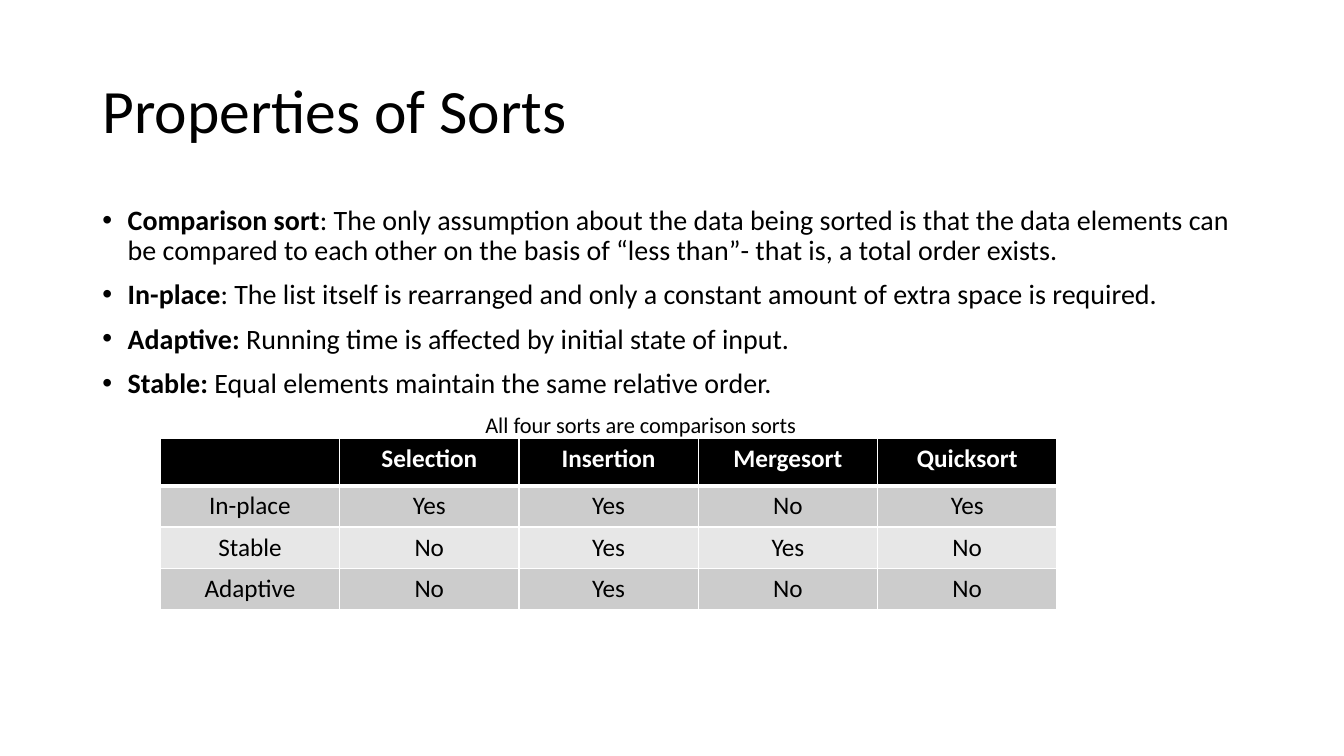
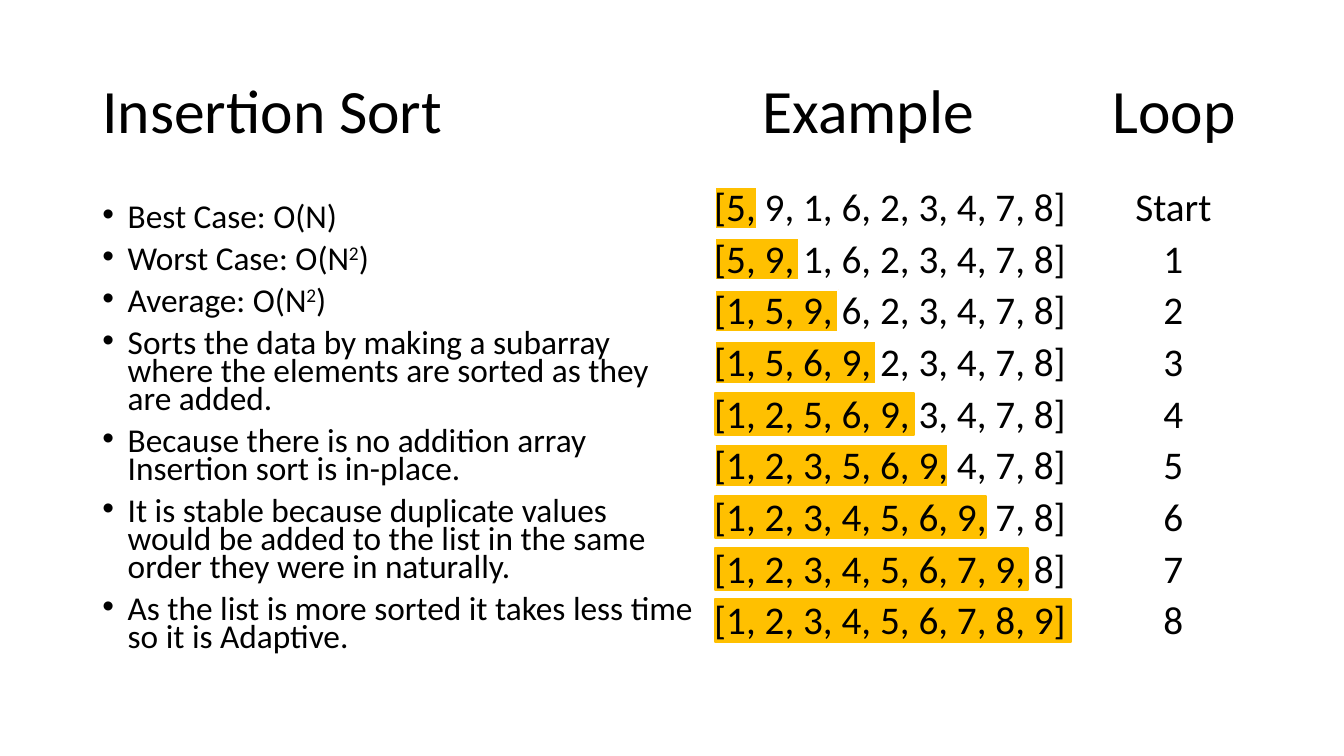
from dataclasses import dataclass
from typing import NamedTuple, Sequence

from lxml.etree import SubElement
from pptx import Presentation
from pptx.dml.color import RGBColor
from pptx.enum.shapes import MSO_SHAPE as Preset
from pptx.enum.text import MSO_ANCHOR as Anchor, PP_ALIGN as Align
from pptx.oxml.ns import qn
from pptx.slide import Slide
from pptx.table import _Cell as Cell
from pptx.util import Cm, Pt


@dataclass(frozen=True)
class Theme:
    font: str = "Calibri"
    ink: RGBColor = RGBColor(0x00, 0x00, 0x00)
    paper: RGBColor = RGBColor(0xFF, 0xFF, 0xFF)
    band_dark: RGBColor = RGBColor(0xCC, 0xCC, 0xCC)
    band_light: RGBColor = RGBColor(0xE7, 0xE7, 0xE7)
    sorted_part: RGBColor = RGBColor(0xFF, 0xC0, 0x00)
    title: float = 44
    definition: float = 20
    caption: float = 16
    cell: float = 18
    fact: float = 23.8
    trace: float = 28
    paragraph_gap: float = 10


THEME = Theme()


class Box(NamedTuple):
    left: float
    top: float
    width: float
    height: float


class Span(NamedTuple):
    text: str
    bold: bool = False
    raised: bool = False


class Style(NamedTuple):
    size: float
    spacing: float = 1.0
    bulleted: bool = False
    align: Align = Align.LEFT
    anchor: Anchor = Anchor.TOP


class Step(NamedTuple):
    values: str
    loop: str
    sorted_width: float
    edge: RGBColor


Line = Sequence[Span]

MARGIN = 2.33
CONTENT_WIDTH = 29.21
TITLE_TOP, TITLE_HEIGHT = 1.01, 3.68
BODY_TOP, BODY_HEIGHT = 5.07, 12.1
TRACE_TOP, TRACE_PITCH = 4.7, 1.3

TITLE_STYLE = Style(THEME.title, 0.9, anchor=Anchor.MIDDLE)
DEFINITION_STYLE = Style(THEME.definition, 0.9, bulleted=True)
CAPTION_STYLE = Style(THEME.caption, align=Align.CENTER)
FACT_STYLE = Style(THEME.fact, 0.7, bulleted=True)
TRACE_STYLE = Style(THEME.trace, 0.8)
LOOP_STYLE = TRACE_STYLE._replace(align=Align.CENTER)

DEFINITIONS = [
    [Span("Comparison sort", bold=True),
     Span(": The only assumption about the data being sorted is that the data elements can "
          "be compared to each other on the basis of “less than”- that is, a total order exists.")],
    [Span("In-place", bold=True),
     Span(": The list itself is rearranged and only a constant amount of extra space is required.")],
    [Span("Adaptive: ", bold=True), Span("Running time is affected by initial state of input.")],
    [Span("Stable: ", bold=True), Span("Equal elements maintain the same relative order.")],
]

PROPERTIES = [
    ["", "Selection", "Insertion", "Mergesort", "Quicksort"],
    ["In-place", "Yes", "Yes", "No", "Yes"],
    ["Stable", "No", "Yes", "Yes", "No"],
    ["Adaptive", "No", "Yes", "No", "No"],
]

SQUARED = [Span("2", raised=True), Span(")")]
FACTS = [
    [Span("Best Case: O(N)")],
    [Span("Worst Case: O(N"), *SQUARED],
    [Span("Average: O(N"), *SQUARED],
    [Span("Sorts the data by making a subarray where the elements are sorted as they are added.")],
    [Span("Because there is no addition array Insertion sort is in-place.")],
    [Span("It is stable because duplicate values would be added to the list "
          "in the same order they were in naturally.")],
    [Span("As the list is more sorted it takes less time so it is Adaptive.")],
]

STEPS = [
    Step("[5, 9, 1, 6, 2, 3, 4, 7, 8]", "Start", 1.04, THEME.paper),
    Step("[5, 9, 1, 6, 2, 3, 4, 7, 8]", "1", 2.11, THEME.paper),
    Step("[1, 5, 9, 6, 2, 3, 4, 7, 8]", "2", 3.1, THEME.paper),
    Step("[1, 5, 6, 9, 2, 3, 4, 7, 8]", "3", 4.04, THEME.paper),
    Step("[1, 2, 5, 6, 9, 3, 4, 7, 8]", "4", 5.0, THEME.sorted_part),
    Step("[1, 2, 3, 5, 6, 9, 4, 7, 8]", "5", 5.87, THEME.paper),
    Step("[1, 2, 3, 4, 5, 6, 9, 7, 8]", "6", 6.83, THEME.sorted_part),
    Step("[1, 2, 3, 4, 5, 6, 7, 9, 8]", "7", 7.87, THEME.sorted_part),
    Step("[1, 2, 3, 4, 5, 6, 7, 8, 9]", "8", 8.97, THEME.sorted_part),
]


def add_bullet(paragraph) -> None:
    properties = paragraph._p.get_or_add_pPr()
    properties.set("marL", str(Cm(0.64)))
    properties.set("indent", str(-Cm(0.64)))
    SubElement(properties, qn("a:buFont")).set("typeface", "Arial")
    SubElement(properties, qn("a:buChar")).set("char", "•")


def format_run(run, size: float, color: RGBColor, bold: bool = False) -> None:
    run.font.name = THEME.font
    run.font.size = Pt(size)
    run.font.bold = bold
    run.font.color.rgb = color


def add_text(slide: Slide, box: Box, lines: Sequence[Line], style: Style) -> None:
    frame = slide.shapes.add_textbox(*map(Cm, box)).text_frame
    frame.word_wrap = True
    frame.vertical_anchor = style.anchor
    frame.text = "\n".join(line[0].text for line in lines)
    for index, (paragraph, line) in enumerate(zip(frame.paragraphs, lines)):
        if style.bulleted:
            add_bullet(paragraph)
        paragraph.alignment = style.align
        paragraph.line_spacing = style.spacing
        paragraph.space_before = Pt(THEME.paragraph_gap if index else 0)
        for span in line[1:]:
            paragraph.add_run().text = span.text
        for run, span in zip(paragraph.runs, line):
            format_run(run, style.size, THEME.ink, span.bold)
            if span.raised:
                run._r.get_or_add_rPr().set("baseline", "30000")


def add_title(slide: Slide, text: str, left: float, width: float) -> None:
    add_text(slide, Box(left, TITLE_TOP, width, TITLE_HEIGHT), [[Span(text)]], TITLE_STYLE)


def add_border(cell: Cell, side: str, width: float) -> None:
    border = SubElement(cell._tc.get_or_add_tcPr(), qn(f"a:ln{side}"))
    border.set("w", str(Pt(width)))
    fill = SubElement(border, qn("a:solidFill"))
    SubElement(fill, qn("a:srgbClr")).set("val", str(THEME.paper))


def add_property_table(slide: Slide) -> None:
    column_width, header_height, row_height = 4.52, 1.19, 1.04
    row_count, column_count = len(PROPERTIES), len(PROPERTIES[0])
    box = Box(4.04, 11.05, column_width * column_count,
              header_height + row_height * (row_count - 1))
    table = slide.shapes.add_table(row_count, column_count, *map(Cm, box)).table
    for column in table.columns:
        column.width = Cm(column_width)
    for row_index, labels in enumerate(PROPERTIES):
        is_header = row_index == 0
        table.rows[row_index].height = Cm(header_height if is_header else row_height)
        background = THEME.ink if is_header else (
            THEME.band_dark if row_index % 2 else THEME.band_light)
        widths = {"L": 1, "R": 1, "T": 3 if row_index == 1 else 1, "B": 3 if is_header else 1}
        for column_index, label in enumerate(labels):
            cell = table.cell(row_index, column_index)
            for side, width in widths.items():
                add_border(cell, side, width)
            cell.fill.solid()
            cell.fill.fore_color.rgb = background
            cell.text_frame.text = label
            paragraph = cell.text_frame.paragraphs[0]
            paragraph.alignment = Align.CENTER
            for run in paragraph.runs:
                format_run(run, THEME.cell, THEME.paper if is_header else THEME.ink, is_header)


def add_sorted_part(slide: Slide, index: int, step: Step) -> None:
    box = Box(18.03, TRACE_TOP + TRACE_PITCH * index, step.sorted_width, 1.07)
    highlight = slide.shapes.add_shape(Preset.RECTANGLE, *map(Cm, box))
    highlight.shadow.inherit = False
    highlight.fill.solid()
    highlight.fill.fore_color.rgb = THEME.sorted_part
    highlight.line.color.rgb = step.edge
    highlight.line.width = Pt(1.5)


def build_properties(slide: Slide) -> None:
    add_title(slide, "Properties of Sorts", MARGIN, CONTENT_WIDTH)
    add_text(slide, Box(MARGIN, BODY_TOP, CONTENT_WIDTH, 5.2), DEFINITIONS, DEFINITION_STYLE)
    add_text(slide, Box(10.15, 10.23, 12, 0.9),
             [[Span("All four sorts are comparison sorts")]], CAPTION_STYLE)
    add_property_table(slide)


def build_insertion_sort(slide: Slide) -> None:
    add_title(slide, "Insertion Sort", MARGIN, 15.45)
    add_title(slide, "Example", 18.97, 8)
    add_title(slide, "Loop", 27.79, 4.5)
    for index, step in enumerate(STEPS):
        add_sorted_part(slide, index, step)
    add_text(slide, Box(17.75, TRACE_TOP, 9.8, BODY_HEIGHT),
             [[Span(step.values)] for step in STEPS], TRACE_STYLE)
    add_text(slide, Box(27.57, TRACE_TOP, 4, BODY_HEIGHT),
             [[Span(step.loop)] for step in STEPS], LOOP_STYLE)
    add_text(slide, Box(MARGIN, BODY_TOP, 15.45, BODY_HEIGHT), FACTS, FACT_STYLE)


def main() -> None:
    deck = Presentation()
    deck.slide_width, deck.slide_height = Cm(33.87), Cm(19.05)
    blank = deck.slide_layouts[6]
    for build in (build_properties, build_insertion_sort):
        build(deck.slides.add_slide(blank))
    deck.save("out.pptx")


if __name__ == "__main__":
    main()
